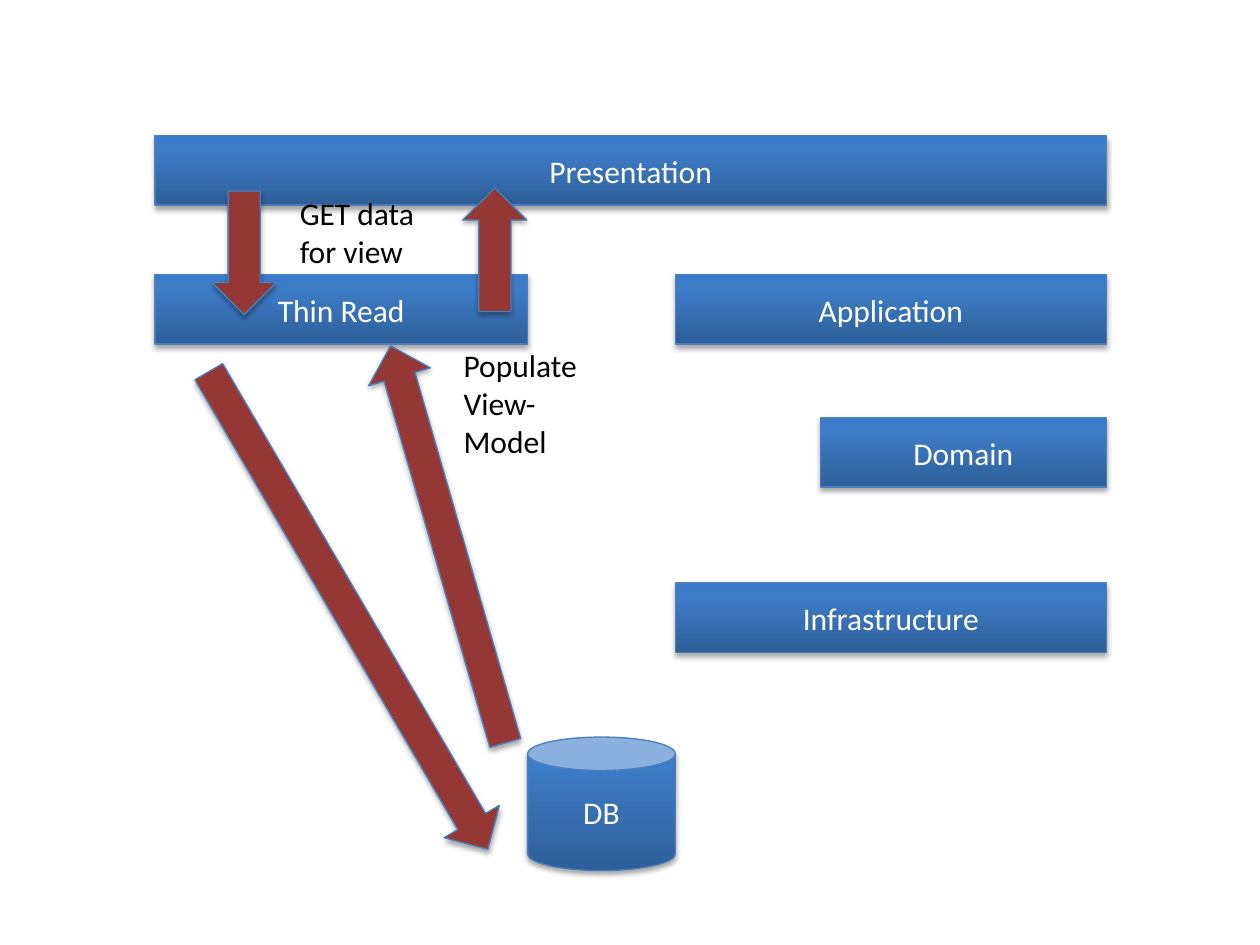
from copy import deepcopy
from dataclasses import dataclass

from lxml.etree import SubElement
from pptx import Presentation
from pptx.dml.color import RGBColor
from pptx.enum.shapes import MSO_SHAPE as Preset
from pptx.enum.text import MSO_ANCHOR as Anchor, MSO_AUTO_SIZE as AutoSize, PP_ALIGN as Align
from pptx.oxml.ns import qn
from pptx.util import Pt

WHITE = RGBColor(0xFF, 0xFF, 0xFF)
BLACK = RGBColor(0x00, 0x00, 0x00)
OUTLINE = RGBColor(0x4B, 0x7E, 0xBC)
ARROW_RED = RGBColor(0x95, 0x37, 0x35)
GRADIENT = (
    (0, RGBColor(0x2F, 0x5F, 0x99)),
    (0.8, RGBColor(0x3D, 0x7C, 0xC7)),
    (1, RGBColor(0x3A, 0x7C, 0xCB)),
)

LEFT, RIGHT = 88.6, 632.2
RIGHT_COLUMN = 385.9
LAYER_HEIGHT = 39.6
ARROW_WIDTH = 36.7


@dataclass(frozen=True)
class Block:
    text: str
    left: float
    top: float
    width: float
    height: float = LAYER_HEIGHT
    preset: Preset = Preset.RECTANGLE


@dataclass(frozen=True)
class Arrow:
    left: float
    top: float
    height: float
    rotation: float = 0


@dataclass(frozen=True)
class Caption:
    text: str
    left: float
    top: float
    height: float
    width: float = 87.8


BLOCKS = (
    Block("Presentation", LEFT, 77.6, RIGHT - LEFT),
    Block("Application", RIGHT_COLUMN, 157, RIGHT - RIGHT_COLUMN),
    Block("Domain", 468.7, 238.8, RIGHT - 468.7),
    Block("Infrastructure", RIGHT_COLUMN, 333.2, RIGHT - RIGHT_COLUMN),
    Block("DB", 301.5, 421.2, 84.4, 76.3, Preset.CAN),
    Block("Thin Read", LEFT, 157, 212.7),
)
FLOWS = (
    Arrow(121.2, 109.2, 70.6),
    Caption("GET data for view", 164.2, 107.3, 51.1),
    Arrow(180.7, 190.8, 316.1, 329.7),
    Arrow(237.6, 193, 236.2, 163.9),
    Caption("Populate View-Model", 257.8, 194.4, 72.7),
    Arrow(264.4, 107.4, 70.6, 180),
)


def set_text(shape, text: str, color: RGBColor, alignment: Align) -> None:
    shape.text_frame.word_wrap = True
    paragraph = shape.text_frame.paragraphs[0]
    paragraph.text = text
    paragraph.alignment = alignment
    for name, value in {"name": "Calibri", "size": Pt(18)}.items():
        setattr(paragraph.font, name, value)
    paragraph.font.color.rgb = color


def add_shadow(shape) -> None:
    shape.shadow.inherit = False
    effects = shape._element.spPr.find(qn("a:effectLst"))
    shadow = SubElement(
        effects, qn("a:outerShdw"), blurRad=str(Pt(3.1)), dist=str(Pt(1.8)),
        dir="5400000", rotWithShape="0",
    )
    color = SubElement(shadow, qn("a:srgbClr"), val=str(BLACK))
    SubElement(color, qn("a:alpha"), val="35000")


def add_outlined(slide, preset: Preset, left: float, top: float, width: float, height: float):
    shape = slide.shapes.add_shape(preset, Pt(left), Pt(top), Pt(width), Pt(height))
    shape.line.color.rgb = OUTLINE
    shape.line.width = Pt(0.75)
    add_shadow(shape)
    return shape


def fill_gradient(shape) -> None:
    shape.fill.gradient()
    shape.fill.gradient_angle = 90
    stop_list = shape._element.spPr.find(qn("a:gradFill")).find(qn("a:gsLst"))
    stop_list.append(deepcopy(stop_list[-1]))
    for stop, (position, color) in zip(shape.fill.gradient_stops, GRADIENT):
        stop.position = position
        stop.color.rgb = color


def draw_block(slide, block: Block) -> None:
    shape = add_outlined(slide, block.preset, block.left, block.top, block.width, block.height)
    fill_gradient(shape)
    shape.text_frame.vertical_anchor = Anchor.MIDDLE
    set_text(shape, block.text, WHITE, Align.CENTER)


def draw_arrow(slide, arrow: Arrow) -> None:
    shape = add_outlined(slide, Preset.DOWN_ARROW, arrow.left, arrow.top, ARROW_WIDTH, arrow.height)
    shape.rotation = arrow.rotation
    shape.fill.solid()
    shape.fill.fore_color.rgb = ARROW_RED


def draw_caption(slide, caption: Caption) -> None:
    box = slide.shapes.add_textbox(
        Pt(caption.left), Pt(caption.top), Pt(caption.width), Pt(caption.height)
    )
    set_text(box, caption.text, BLACK, Align.LEFT)
    box.text_frame.auto_size = AutoSize.SHAPE_TO_FIT_TEXT


def main() -> None:
    presentation = Presentation()
    presentation.slide_width, presentation.slide_height = Pt(720), Pt(540)
    slide = presentation.slides.add_slide(presentation.slide_layouts[6])
    for block in BLOCKS:
        draw_block(slide, block)
    for flow in FLOWS:
        if isinstance(flow, Arrow):
            draw_arrow(slide, flow)
        else:
            draw_caption(slide, flow)
    presentation.save("out.pptx")


if __name__ == "__main__":
    main()
